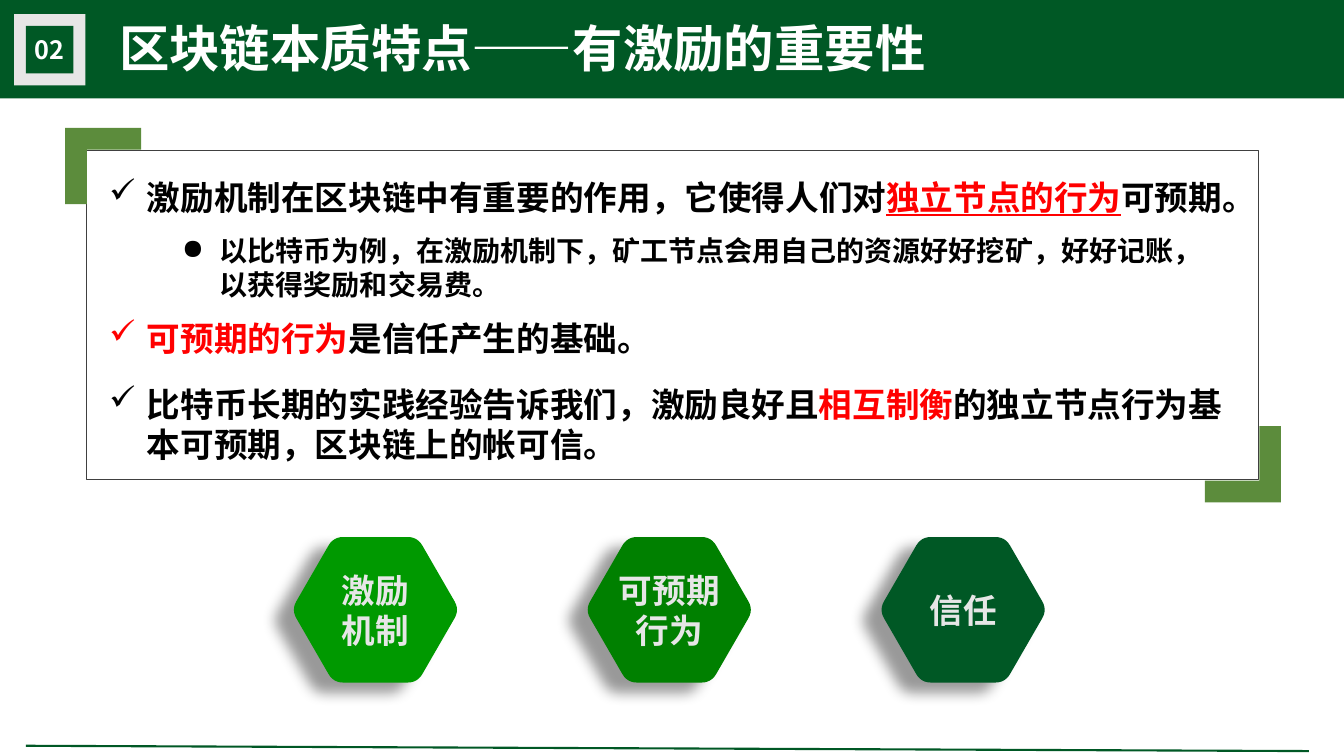
from math import cos, radians, sin

from lxml import etree
from pptx import Presentation
from pptx.dml.color import RGBColor
from pptx.enum.shapes import MSO_CONNECTOR, MSO_SHAPE
from pptx.enum.text import MSO_ANCHOR, PP_ALIGN
from pptx.oxml.ns import qn
from pptx.util import Pt

RECT, STRAIGHT = MSO_SHAPE.RECTANGLE, MSO_CONNECTOR.STRAIGHT
LEFT, CENTER, TOP, MIDDLE = PP_ALIGN.LEFT, PP_ALIGN.CENTER, MSO_ANCHOR.TOP, MSO_ANCHOR.MIDDLE


class Theme:
    font = "Noto Sans CJK SC"
    green, bracket = "005825", "5C8C3C"
    white, grey, pale = "FFFFFF", "E7E6E6", "E6E6E6"
    black, red, border = "000000", "FF0000", "404040"
    title, number, main, sub = 36, 18, 24, 20


# Content
NUMBER = "02"
TITLE = "区块链本质特点——有激励的重要性"
PLAIN, RED, RED_LINE = (Theme.black, False), (Theme.red, False), (Theme.red, True)
# (left, top, width, height), bullet, size, runs
POINTS = [
    ((78, 126, 811, 29), "✓", Theme.main,
     [("激励机制在区块链中有重要的作用，它使得人们对", PLAIN),
      ("独立节点的行为", RED_LINE), ("可预期。", PLAIN)]),
    ((130, 167, 740, 48), "●", Theme.sub,
     [("以比特币为例，在激励机制下，矿工节点会用自己的资源好好挖矿，"
       "好好记账，以获得奖励和交易费。", PLAIN)]),
    ((78, 227, 778, 29), "✓", Theme.main,
     [("可预期的行为", RED), ("是信任产生的基础。", PLAIN)]),
    ((78, 274, 811, 58), "✓", Theme.main,
     [("比特币长期的实践经验告诉我们，激励良好且", PLAIN), ("相互制衡", RED),
      ("的独立节点行为基本可预期，区块链上的帐可信。", PLAIN)]),
]
HEXAGONS = [(["激励", "机制"], "009900"), (["可预期", "行为"], "008000"),
            (["信任"], Theme.green)]

prs = Presentation()
prs.slide_width, prs.slide_height = Pt(960), Pt(540)
s = prs.slides.add_slide(prs.slide_layouts[5])


def box(*lengths):
    return [Pt(v) for v in lengths]


def paint(sp, fill=None, line=None, width=0.25):
    sp.shadow.inherit = False
    if fill:
        sp.fill.solid()
        sp.fill.fore_color.rgb = RGBColor.from_string(fill)
    else:
        sp.fill.background()
    if line:
        sp.line.color.rgb = RGBColor.from_string(line)
        sp.line.width = Pt(width)
    else:
        sp.line.fill.background()
    return sp


def rect(left, top, width, height, **look):
    return paint(s.shapes.add_shape(RECT, *box(left, top, width, height)), **look)


def outline(points, fill):
    points = [tuple(box(x, y)) for x, y in points]
    builder = s.shapes.build_freeform(*points[0])
    builder.add_line_segments(points[1:], close=True)
    return paint(builder.convert_to_shape(), fill)


def style(r, size, color, underline=False):
    r.font.name, r.font.size, r.font.bold = Theme.font, Pt(size), True
    r.font.color.rgb = RGBColor.from_string(color)
    if underline:
        r.font.underline = True
    ea = etree.SubElement(r.font._element, qn("a:ea"))
    ea.set("typeface", Theme.font)


def frame(sp, anchor):
    tf = sp.text_frame
    tf.word_wrap, tf.vertical_anchor = True, anchor
    tf.margin_left = tf.margin_right = tf.margin_top = tf.margin_bottom = 0
    return tf


def write(sp, lines, size, color, align=CENTER):
    tf = frame(sp, MIDDLE)
    tf.text = "\n".join(lines)
    for p in tf.paragraphs:
        p.alignment = align
        style(p.runs[0], size, color)


# Header band, number badge and title
band = rect(0, 0, 960, 70.3, fill=Theme.green)
title = s.shapes.title
title.element.addprevious(band.element)
title.left, title.top, title.width, title.height = box(85, 8.5, 660, 51)
write(title, [TITLE], Theme.title, Theme.white, LEFT)
rect(10, 10, 51, 51, fill=Theme.grey)
write(rect(18.5, 18.5, 34, 34, fill=Theme.green), [NUMBER], Theme.number, Theme.white)

# Footer line
rule = s.shapes.add_connector(STRAIGHT, *box(18.5, 532.7, 935, 536.5))
rule.line.color.rgb = RGBColor.from_string(Theme.green)
rule.line.width = Pt(1.5)
etree.SubElement(rule._element.spPr, qn("a:effectLst"))

# Panel with a bracket at two opposite corners
rect(61.2, 107.4, 837.2, 234.8, line=Theme.border)
ARM, THICK = 54.4, 15.5
ELL = [(0, 0), (ARM, 0), (ARM, THICK), (THICK, THICK), (THICK, ARM), (0, ARM)]
for x, y, sign in [(46.5, 91.4, 1), (915, 358.8, -1)]:
    outline([(x + sign * dx, y + sign * dy) for dx, dy in ELL], Theme.bracket)

# Bulleted points
for place, bullet, size, runs in POINTS:
    tf = frame(s.shapes.add_textbox(*box(*place)), TOP)
    p = tf.paragraphs[0]
    pPr = p._p.get_or_add_pPr()
    pPr.set("marL", str(Pt(27)))
    pPr.set("indent", str(-Pt(27)))
    etree.SubElement(pPr, qn("a:buChar")).set("char", bullet)
    for text, (color, underline) in runs:
        r = p.add_run()
        r.text = text
        style(r, size, color, underline)

# Hexagons with rounded corners and a soft shadow
RADIUS, CUT, STEPS = 60, 7, 6
FIRST_X, PITCH, CENTER_Y = 268.2, 209.9, 435.6


def rounded_hexagon(cx, cy):
    corners = [(cx + RADIUS * cos(radians(a)), cy + RADIUS * sin(radians(a)))
               for a in range(0, 360, 60)]
    points = []
    for i, corner in enumerate(corners):
        start, end = [[c + (n - c) * CUT / RADIUS for c, n in zip(corner, near)]
                      for near in (corners[i - 1], corners[(i + 1) % 6])]
        for t in [k / STEPS for k in range(STEPS + 1)]:
            points.append([(1 - t) ** 2 * a + 2 * t * (1 - t) * c + t ** 2 * b
                           for a, c, b in zip(start, corner, end)])
    return points


def add_shadow(sp):
    effects = sp._element.spPr.find(qn("a:effectLst"))
    shadow = etree.SubElement(effects, qn("a:outerShdw"), blurRad=str(Pt(10)),
                              dist=str(Pt(15)), dir=str(150 * 60000),
                              algn="ctr", rotWithShape="0")
    color = etree.SubElement(shadow, qn("a:srgbClr"), val=Theme.black)
    etree.SubElement(color, qn("a:alpha"), val="40000")


for i, (lines, fill) in enumerate(HEXAGONS):
    sp = outline(rounded_hexagon(FIRST_X + i * PITCH, CENTER_Y), fill)
    add_shadow(sp)
    write(sp, lines, Theme.main, Theme.pale)

prs.save("out.pptx")
